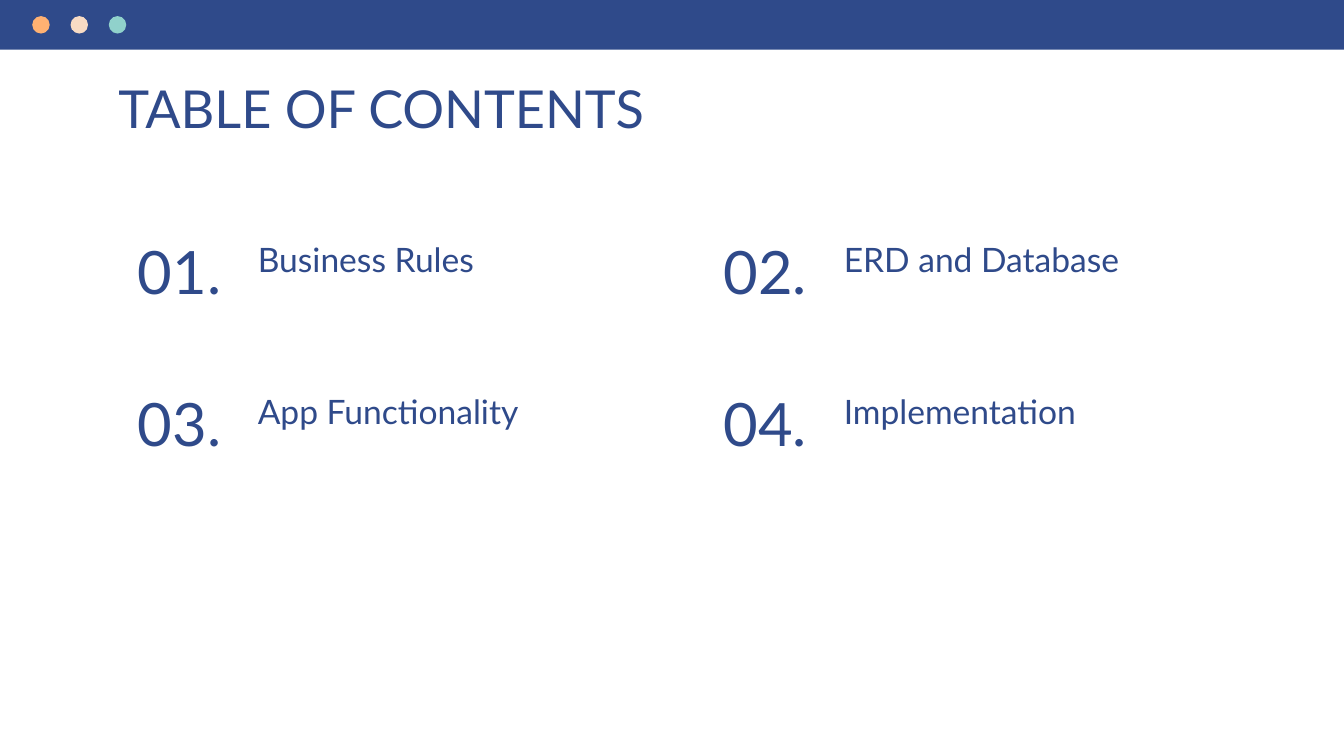
from pptx import Presentation
from pptx.dml.color import RGBColor
from pptx.enum.shapes import MSO_SHAPE as SHAPE
from pptx.enum.text import MSO_ANCHOR as ANCHOR, MSO_AUTO_SIZE as AUTO, PP_ALIGN as ALIGN
from pptx.util import Emu, Pt

PX = 914400 // 200
WIDTH, HEIGHT = 2000, 1125
NAVY = "2F4A8A"
DOTS = ["FFB172", "F8DBC4", "90D1CB"]
TOPICS = ["Business Rules", "ERD and Database", "App Functionality", "Implementation"]


def px(n):
    return Emu(n * PX)


def rgb(value):
    return RGBColor.from_string(value)


def set_text(sp, text, size, align=ALIGN.LEFT, anchor=ANCHOR.TOP):
    tf = sp.text_frame
    frame = {"word_wrap": True, "auto_size": AUTO.NONE, "vertical_anchor": anchor}
    for side in ("left", "top", "right", "bottom"):
        frame[f"margin_{side}"] = px(20)
    for name, value in frame.items():
        setattr(tf, name, value)
    p = tf.paragraphs[0]
    p.alignment = align
    r = p.add_run()
    r.text = text
    for name, value in {"name": "Lato", "size": Pt(size)}.items():
        setattr(r.font, name, value)
    r.font.color.rgb = rgb(NAVY)


def add_text(s, box, *args):
    set_text(s.shapes.add_textbox(*map(px, box)), *args)


def add_solid(s, kind, box, color):
    sp = s.shapes.add_shape(kind, *map(px, box))
    sp.shadow.inherit = False
    sp.fill.solid()
    sp.fill.fore_color.rgb = rgb(color)
    sp.line.fill.background()


def add_title(s, box, text):
    sp = s.shapes.title
    for name, value in zip(("left", "top", "width", "height"), box):
        setattr(sp, name, px(value))
    set_text(sp, text, 28)


def add_window_bar(s, x, y, w, h):
    add_solid(s, SHAPE.RECTANGLE, (x, y, w, h), NAVY)
    for i, color in enumerate(DOTS):
        add_solid(s, SHAPE.OVAL, (x + 48 + 57 * i, y + 24, 26, 26), color)


def add_topic(s, x, y, w, number, label):
    add_text(s, (x + 196, y, w - 196, 102), label, 18)
    add_text(s, (x, y + 12, 198, 128), f"{number:02}.", 32, ALIGN.CENTER, ANCHOR.BOTTOM)


def add_contents(s, x, y, w):
    pitch = 872
    for i, label in enumerate(TOPICS):
        row, col = divmod(i, 2)
        add_topic(s, x + pitch * col, y + 226 * row, w - pitch, i + 1, label)


def main():
    prs = Presentation()
    prs.slide_width, prs.slide_height = px(WIDTH), px(HEIGHT)
    s = prs.slides.add_slide(prs.slide_layouts[5])
    add_title(s, (156, 94, 1688, 102), "TABLE OF CONTENTS")
    add_contents(s, 168, 336, 1664)
    add_window_bar(s, 0, 0, WIDTH, 74)
    prs.save("out.pptx")


if __name__ == "__main__":
    main()
